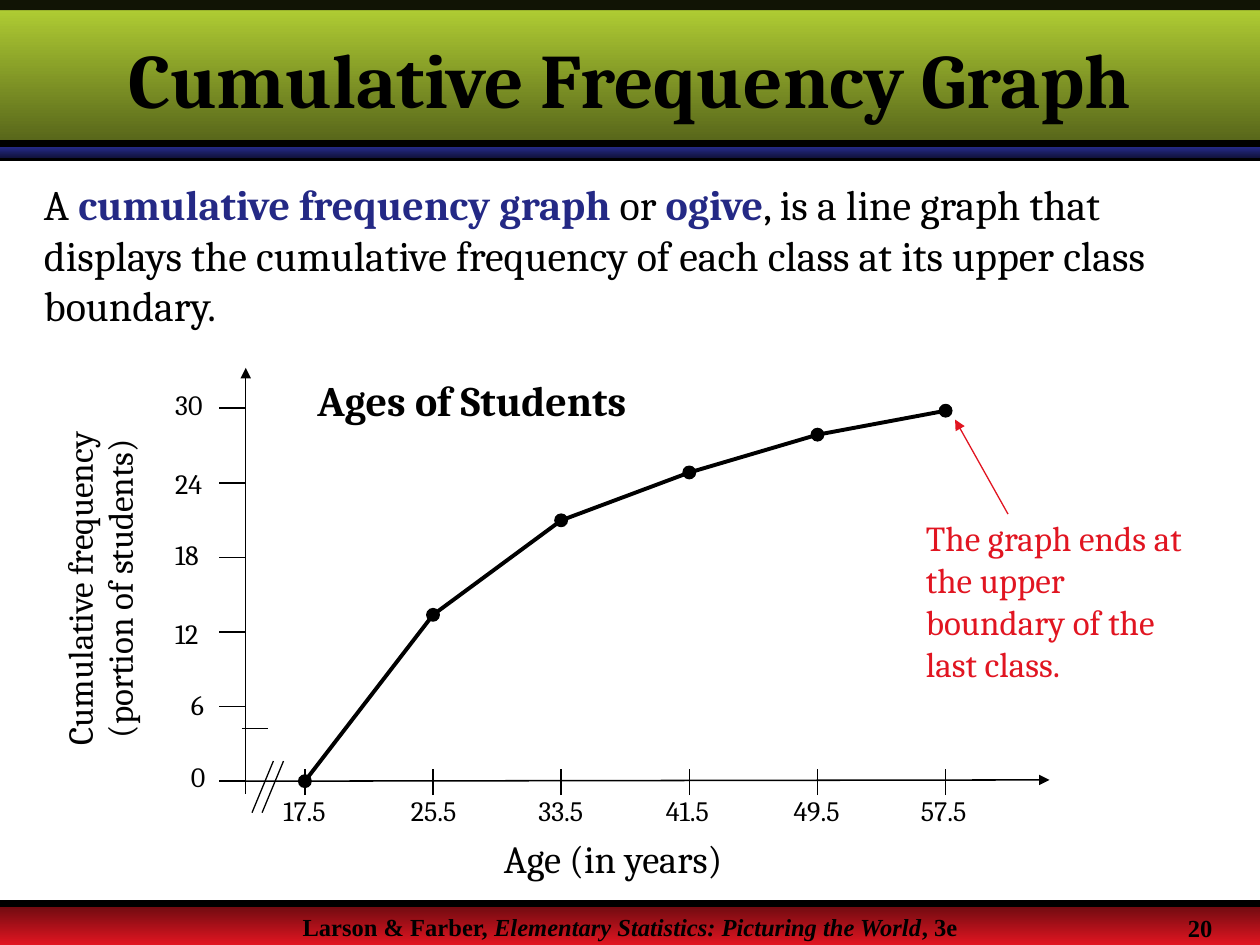
from pptx import Presentation
from pptx.dml.color import RGBColor
from pptx.enum.shapes import MSO_CONNECTOR, MSO_SHAPE
from pptx.enum.text import MSO_ANCHOR, PP_ALIGN
from pptx.oxml.ns import qn
from pptx.util import Inches, Pt
from lxml.etree import SubElement

# Content
COLORS = {
    "black": "000000", "white": "FFFFFF", "navy": "242985", "navy_dark": "11133E",
    "green": "B5D335", "green_dark": "546219", "red": "E11521", "red_dark": "680A0F",
}
TITLE = "Cumulative Frequency Graph"
DEFINITION = [
    ("A ", {}),
    ("cumulative frequency graph", {"color": "navy", "bold": True}),
    (" or ", {}),
    ("ogive", {"color": "navy", "bold": True}),
    (", is a line graph that displays the cumulative frequency of each class "
     "at its upper class boundary.", {}),
]
FOOTER = [
    ("Larson & Farber, ", {}),
    ("Elementary Statistics: Picturing the World", {"italic": True}),
    (", 3e", {}),
]
PAGE = "20"
CHART_TITLE = "Ages of Students"
X_TITLE = "Age (in years)"
Y_TITLE = ["Cumulative frequency", "(portion of students)"]
CALLOUT = "The graph ends at the upper boundary of the last class."
BOUNDARIES = ["17.5", "25.5", "33.5", "41.5", "49.5", "57.5"]
# Frequency and the top of its label
FREQUENCIES = [("0", 6.03), ("6", 5.46), ("12", 4.89),
               ("18", 4.27), ("24", 3.70), ("30", 3.08)]
# Heights of the points on the ogive
POINT_Y = [6.2, 4.88, 4.13, 3.75, 3.45, 3.26]

# Graph geometry
AXIS_X, AXIS_Y = 1.95, 6.2
FIRST_X, STEP_X, STEP_Y = 2.42, 1.017, 0.592
TICK, DOT = 0.21, 0.1
AXIS_W = 0.88

prs = Presentation()
prs.slide_width, prs.slide_height = Inches(10), Inches(7.5)
s = prs.slides.add_slide(prs.slide_layouts[6])


def rgb(name):
    return RGBColor.from_string(COLORS[name])


def add_shape(kind, x, y, w, h, color, end_color=None, alpha=None):
    sp = s.shapes.add_shape(kind, Inches(x), Inches(y), Inches(w), Inches(h))
    sp.shadow.inherit = False
    sp.line.fill.background()
    if end_color:
        sp.fill.gradient()
        sp.fill.gradient_angle = 270
        for stop, name in zip(sp.fill.gradient_stops, (color, end_color)):
            stop.color.rgb = rgb(name)
    else:
        sp.fill.solid()
        sp.fill.fore_color.rgb = rgb(color)
    if alpha:
        clr = sp.fill._xPr.find(".//" + qn("a:srgbClr"))
        SubElement(clr, qn("a:alpha")).set("val", str(alpha * 1000))
    return sp


def add_line(x1, y1, x2, y2, width, color="black", arrow=False):
    cn = s.shapes.add_connector(MSO_CONNECTOR.STRAIGHT, Inches(x1), Inches(y1),
                                Inches(x2), Inches(y2))
    cn.line.width = Pt(width)
    cn.line.color.rgb = rgb(color)
    if arrow:
        SubElement(cn.line._get_or_add_ln(), qn("a:tailEnd")).set("type", "triangle")
    SubElement(cn._element.spPr, qn("a:effectLst"))


def add_text(paras, x, y, w, h, size, font="Cambria", color="black", bold=False,
             align=PP_ALIGN.LEFT, anchor=MSO_ANCHOR.TOP, wrap=True, inset=True,
             spacing=None):
    sp = s.shapes.add_textbox(Inches(x), Inches(y), Inches(w), Inches(h))
    tf = sp.text_frame
    tf.word_wrap = wrap
    tf.vertical_anchor = anchor
    if not inset:
        tf.margin_left = tf.margin_right = tf.margin_top = tf.margin_bottom = 0
    for i, runs in enumerate(paras):
        p = tf.add_paragraph() if i else tf.paragraphs[0]
        p.alignment = align
        if spacing:
            p.line_spacing = spacing
        for text, style in runs:
            r = p.add_run()
            r.text = text
            r.font.name, r.font.size = font, Pt(size)
            r.font.bold = style.get("bold", bold)
            r.font.italic = style.get("italic", False)
            r.font.color.rgb = rgb(style.get("color", color))
    return sp


def plain(text):
    return [[(text, {})]]


# Background bands and footer
add_shape(MSO_SHAPE.RECTANGLE, 0, 7.17, 10, 0.33, "red_dark", "red")
add_line(0, 1.25, 10, 1.25, 4)
add_text([FOOTER], 0, 7.19, 10, 0.2, 14, "Times New Roman", bold=True,
         align=PP_ALIGN.CENTER)
add_shape(MSO_SHAPE.RECTANGLE, 0, 1.17, 10, 0.08, "navy", "navy_dark")
add_shape(MSO_SHAPE.RECTANGLE, 0, 0, 10, 1.17, "green", "green_dark")
add_line(0, 7.17, 10, 7.17, 4)
add_shape(MSO_SHAPE.RECTANGLE, 0, 0, 10, 0.08, "black", alpha=90)
add_line(0, 1.14, 10, 1.14, 4)
add_text(plain(PAGE), 9.33, 7.2, 0.4, 0.34, 14, "Times New Roman", bold=True, wrap=False)

# Title and definition
add_text(plain(TITLE), 0, 0.08, 10, 1.08, 44, bold=True,
         align=PP_ALIGN.CENTER, anchor=MSO_ANCHOR.MIDDLE)
add_text([DEFINITION], 0.25, 1.37, 9.08, 1.32, 24)

# Axes, with the break marks near the origin
add_line(1.88, AXIS_Y, 8.33, 6.19, AXIS_W, arrow=True)
add_line(AXIS_X, 6.3, AXIS_X, 2.92, AXIS_W, arrow=True)
for dx in (0, 0.08):
    add_line(2.17 + dx, 6.04, 2 + dx, 6.45, 0.75)
add_line(1.92, 5.78, 1.92 + TICK, 5.78, AXIS_W)

# Ticks and labels
for i, label in enumerate(BOUNDARIES):
    x = FIRST_X + i * STEP_X
    add_line(x, 6.31, x, 6.31 - TICK, AXIS_W)
    add_text(plain(label), 2.25 + i * 1.012, 6.3, 0.43, 0.27, 16, wrap=False, inset=False)
for i, (label, top) in enumerate(FREQUENCIES):
    y = AXIS_Y - i * STEP_Y
    add_line(AXIS_X - TICK, y, AXIS_X, y, AXIS_W)
    w = 0.125 * len(label)
    add_text(plain(label), 1.64 - w, top, w, 0.27, 16, wrap=False, inset=False)

# Graph titles
add_text(plain(CHART_TITLE), 2.42, 2.92, 3.48, 0.5, 24, bold=True)
add_text(plain(X_TITLE), 3.9, 6.58, 2.15, 0.47, 22, wrap=False)
y_title = add_text([[(line, {})] for line in Y_TITLE], -0.78, 4.3, 3.17, 0.74, 20,
                   align=PP_ALIGN.CENTER, spacing=0.95)
y_title.rotation = 270

# Ogive
points = [(FIRST_X + i * STEP_X, y) for i, y in enumerate(POINT_Y)]
for x, y in points:
    dot = add_shape(MSO_SHAPE.OVAL, x - DOT / 2, y - DOT / 2, DOT, DOT, "black")
    dot.line.color.rgb = rgb("black")
    dot.line.width = Pt(0.75)
for start, end in zip(points, points[1:]):
    add_line(*start, *end, 2.25)

# Callout on the last point
add_text(plain(CALLOUT), 7.25, 4.05, 2.25, 1.44, 20, color="red")
add_line(8, 4.08, 7.58, 3.33, 0.75, "red", arrow=True)

prs.save("out.pptx")
